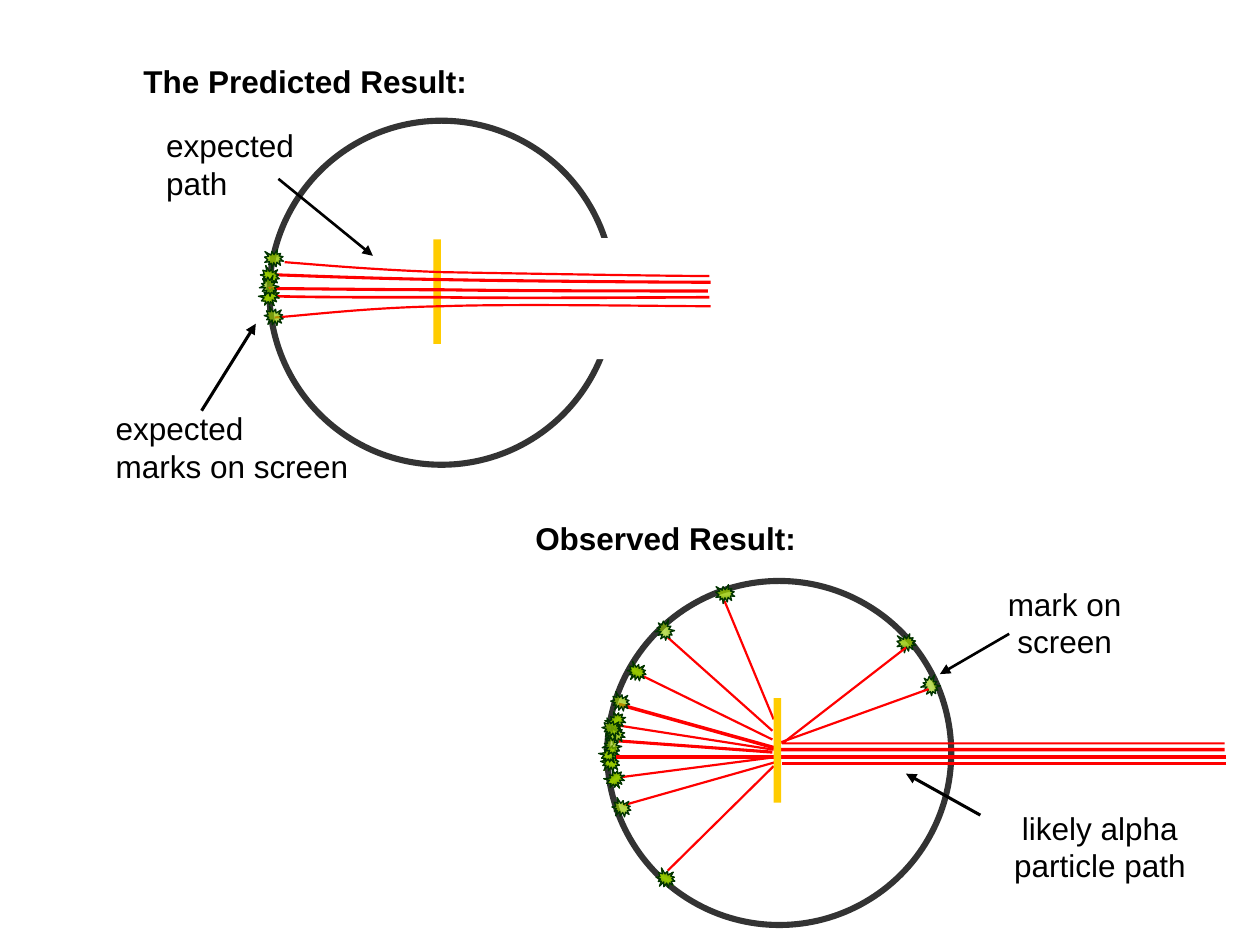
from dataclasses import dataclass

from lxml.etree import SubElement
from pptx import Presentation
from pptx.dml.color import RGBColor
from pptx.enum.shapes import MSO_CONNECTOR, MSO_SHAPE
from pptx.enum.text import MSO_AUTO_SIZE, PP_ALIGN
from pptx.oxml.ns import qn
from pptx.util import Pt


@dataclass(frozen=True)
class Theme:
    font: str = "Arial"
    text_size: float = 18
    text: str = "000000"
    background: str = "FFFFFF"
    ring: str = "333333"
    foil: str = "FFCC00"
    ray: str = "FF0000"
    mark: str = "99CC00"
    mark_edge: str = "003300"
    mark_dark: str = "475E00"
    mark_medium: str = "6D9200"


THEME = Theme()
RING_SIZE = 196.6
FOIL_SIZE = (4.3, 59.8)
MARK_SIZE = 10.8
# rotation, outer colour and centre opacity in percent, used in turn
MARK_STYLES = [
    (0, THEME.mark_medium, 80),
    (28.9, THEME.mark_dark, 100),
    (323.4, THEME.mark_dark, 100),
    (27.1, THEME.mark_medium, 69),
    (70.7, THEME.mark_medium, 62),
]


def set_line(line, color, width):
    line.color.rgb = RGBColor.from_string(color)
    line.width = Pt(width)


class Panel:
    """Places parts at point offsets from the top left of a ring."""

    def __init__(self, slide, left, top):
        self.shapes = slide.shapes
        self.left, self.top = left, top

    def place(self, point):
        return Pt(self.left + point[0]), Pt(self.top + point[1])

    def add_block(self, kind, point, size, fill=None):
        shape = self.shapes.add_shape(kind, *self.place(point), *map(Pt, size))
        shape.shadow.inherit = False
        shape.line.fill.background()
        if fill:
            shape.fill.solid()
            shape.fill.fore_color.rgb = RGBColor.from_string(fill)
        else:
            shape.fill.background()
        return shape

    def add_ring(self):
        ring = self.add_block(MSO_SHAPE.OVAL, (0, 0), (RING_SIZE, RING_SIZE))
        set_line(ring.line, THEME.ring, 3.5)

    def add_foil(self, point):
        self.add_block(MSO_SHAPE.RECTANGLE, point, FOIL_SIZE, THEME.foil)

    def add_straight(self, start, end, width, color=THEME.ray, arrow=False):
        connector = self.shapes.add_connector(
            MSO_CONNECTOR.STRAIGHT, *self.place(start), *self.place(end))
        set_line(connector.line, color, width)
        properties = connector._element.spPr
        if arrow:
            SubElement(properties.find(qn("a:ln")), qn("a:tailEnd"), type="triangle")
        SubElement(properties, qn("a:effectLst"))

    def add_path(self, points, width, curved=False):
        """Draw an open ray; curved points are cubic curve controls."""
        builder = self.shapes.build_freeform(*self.place(points[0]))
        builder.add_line_segments([self.place(point) for point in points[1:]], close=False)
        shape = builder.convert_to_shape()
        shape.shadow.inherit = False
        shape.fill.background()
        set_line(shape.line, THEME.ray, width)
        if curved:
            path = next(shape._element.iter(qn("a:path")))
            segments = path.findall(qn("a:lnTo"))
            for first in range(0, len(segments), 3):
                curve = SubElement(path, qn("a:cubicBezTo"))
                for segment in segments[first:first + 3]:
                    curve.append(segment[0])
                    path.remove(segment)

    def add_marks(self, points):
        for index, point in enumerate(points):
            rotation, outer, opacity = MARK_STYLES[index % len(MARK_STYLES)]
            mark = self.add_block(MSO_SHAPE.EXPLOSION1, point, (MARK_SIZE, MARK_SIZE))
            mark.rotation = rotation
            set_line(mark.line, THEME.mark_edge, 0.75)
            mark.fill.gradient()
            mark.fill.gradient_angle = 90
            stops = next(mark._element.spPr.iter(qn("a:gsLst")))
            for stop in list(stops):
                stops.remove(stop)
            for position, color, alpha in ((0, outer, 100), (50, THEME.mark, opacity),
                                           (100, outer, 100)):
                stop = SubElement(stops, qn("a:gs"), pos=str(position * 1000))
                color_element = SubElement(stop, qn("a:srgbClr"), val=color)
                if alpha < 100:
                    SubElement(color_element, qn("a:alpha"), val=str(alpha * 1000))

    def add_label(self, lines, point, size, bold=False, alignment=PP_ALIGN.LEFT):
        frame = self.shapes.add_textbox(*self.place(point), *map(Pt, size)).text_frame
        frame.word_wrap = False
        frame.auto_size = MSO_AUTO_SIZE.SHAPE_TO_FIT_TEXT
        font_format = {"name": THEME.font, "size": Pt(THEME.text_size), "bold": bold}
        for index, line in enumerate(lines):
            paragraph = frame.add_paragraph() if index else frame.paragraphs[0]
            paragraph.alignment = alignment
            run = paragraph.add_run()
            run.text = line
            for name, value in font_format.items():
                setattr(run.font, name, value)
            run.font.color.rgb = RGBColor.from_string(THEME.text)

    def add_arrow(self, start, end, width):
        self.add_straight(start, end, width, THEME.text, arrow=True)


def add_predicted_result(slide, left, top):
    panel = Panel(slide, left, top)
    panel.add_ring()
    panel.add_block(MSO_SHAPE.RECTANGLE, (183.7, 67.1), (15.1, 69.1), THEME.background)
    panel.add_foil((93.7, 67.8))
    rays = [
        (1.25, [(251.4, 88.7), (226.2, 88.7), (139, 87.2), (98.7, 86.5),
                (57.7, 85.1), (27.4, 82.2), (8.7, 80.8)]),
        (1.75, [(252.1, 92.3), (226.2, 92.3), (140.5, 91.6), (98.7, 90.8),
                (57, 90.1), (22.4, 88.7), (2.2, 88)]),
        (1.75, [(250.6, 97.3), (225.4, 97.3), (140.5, 97.3), (98.7, 96.6),
                (57, 96.6), (19.5, 95.9), (-1.4, 95.9)]),
        (1.5, [(251.4, 100.9), (226.2, 100.9), (139.8, 101.6), (98, 100.9),
               (56.2, 100.9), (21.7, 100.9), (1.5, 100.2)]),
        (1.25, [(252.1, 106), (226.2, 106), (139.8, 104.5), (98.7, 106),
                (57, 106.7), (22.4, 111), (3, 112.4)]),
    ]
    for width, points in rays:
        panel.add_path(points, width, curved=True)
    panel.add_marks([(-2.8, 73.6), (-5, 83.6), (-5, 95.2), (-2.8, 106.7), (-5.7, 89.4)])
    panel.add_label(["The Predicted Result:"], (-79.1, -37.3), (199.4, 28.8), bold=True)
    panel.add_label(["expected", "path"], (-66.2, -0.6), (92.2, 50.4))
    panel.add_arrow((5.1, 33.2), (59.1, 77.2), 1.5)
    panel.add_label(["expected", "marks on screen"], (-95, 161.4), (147.6, 50.4))
    panel.add_arrow((-38.8, 165.7), (-7.8, 116), 1.75)


def add_observed_result(slide, left, top):
    panel = Panel(slide, left, top)
    panel.add_ring()
    panel.add_path([(352.8, 96.4), (99.4, 96.4), (6.5, 70.5)], 2)
    scattered_rays = [
        ((94.4, 90.6), (16.6, 52.5), 1.25),
        ((94.4, 85.6), (34.6, 32.3), 1.25),
        ((95.1, 79.1), (67, 11.4), 1.25),
        ((95.1, 96.4), (7.2, 82.7), 1.25),
        ((94.4, 97.8), (6.5, 91.4), 1.75),
        ((95.8, 100.7), (7.2, 112.2), 1.25),
        ((95.8, 103.6), (9.4, 128.1), 1.25),
        ((95.1, 105.8), (34.6, 165.5), 1.25),
    ]
    for ray in scattered_rays:
        panel.add_straight(*ray)
    panel.add_marks([
        (62, 2.1), (11.6, 46.7), (0, 74.8), (2.2, 64), (27.4, 23),
        (165.6, 30.2), (28.1, 164.8), (-0.7, 107.9), (2.9, 124.5), (179.3, 54.6),
        (-0.7, 82.7), (-3.6, 98.6), (-3.6, 93.5), (-2.8, 79.1), (-2.8, 89.2),
    ])
    panel.add_path([(352.8, 92.8), (100.1, 92.8), (170.7, 38.1)], 1.25)
    beam_rays = [
        ((353.6, 100.7), (98.7, 100.7), 2),
        ((353.6, 104.3), (100.1, 104.3), 1.5),
        ((99.4, 92.1), (183.6, 61.8), 1.25),
        ((95.8, 100.7), (5.1, 100.7), 2),
    ]
    for ray in beam_rays:
        panel.add_straight(*ray)
    panel.add_foil((95.1, 66.9))
    panel.add_label(["Observed Result:"], (-48.2, -39), (163.4, 28.8), bold=True)
    panel.add_label(["mark on", "screen"], (221.8, -1.5), (79.2, 50.4),
                    alignment=PP_ALIGN.CENTER)
    panel.add_arrow((229.7, 30.2), (190.1, 53.2), 1.5)
    panel.add_label(["likely alpha", "particle path"], (225.4, 126.6), (112.3, 50.4),
                    alignment=PP_ALIGN.CENTER)
    panel.add_arrow((213.2, 133.8), (170.7, 110.1), 1.75)


def main():
    presentation = Presentation()
    presentation.slide_width, presentation.slide_height = Pt(720), Pt(540)
    slide = presentation.slides.add_slide(presentation.slide_layouts[6])
    add_predicted_result(slide, 154, 69)
    add_observed_result(slide, 347, 332)
    presentation.save("out.pptx")


if __name__ == "__main__":
    main()
